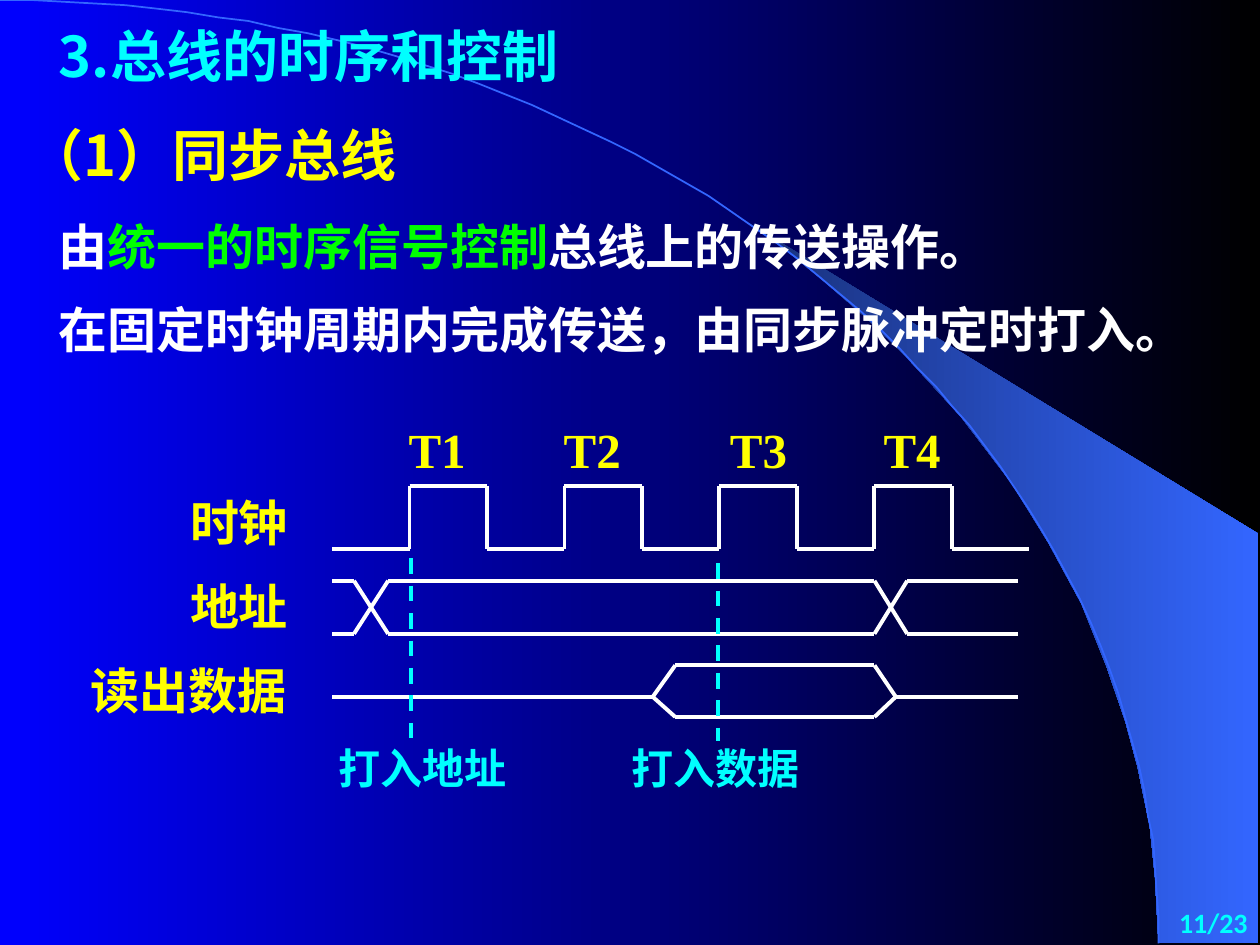
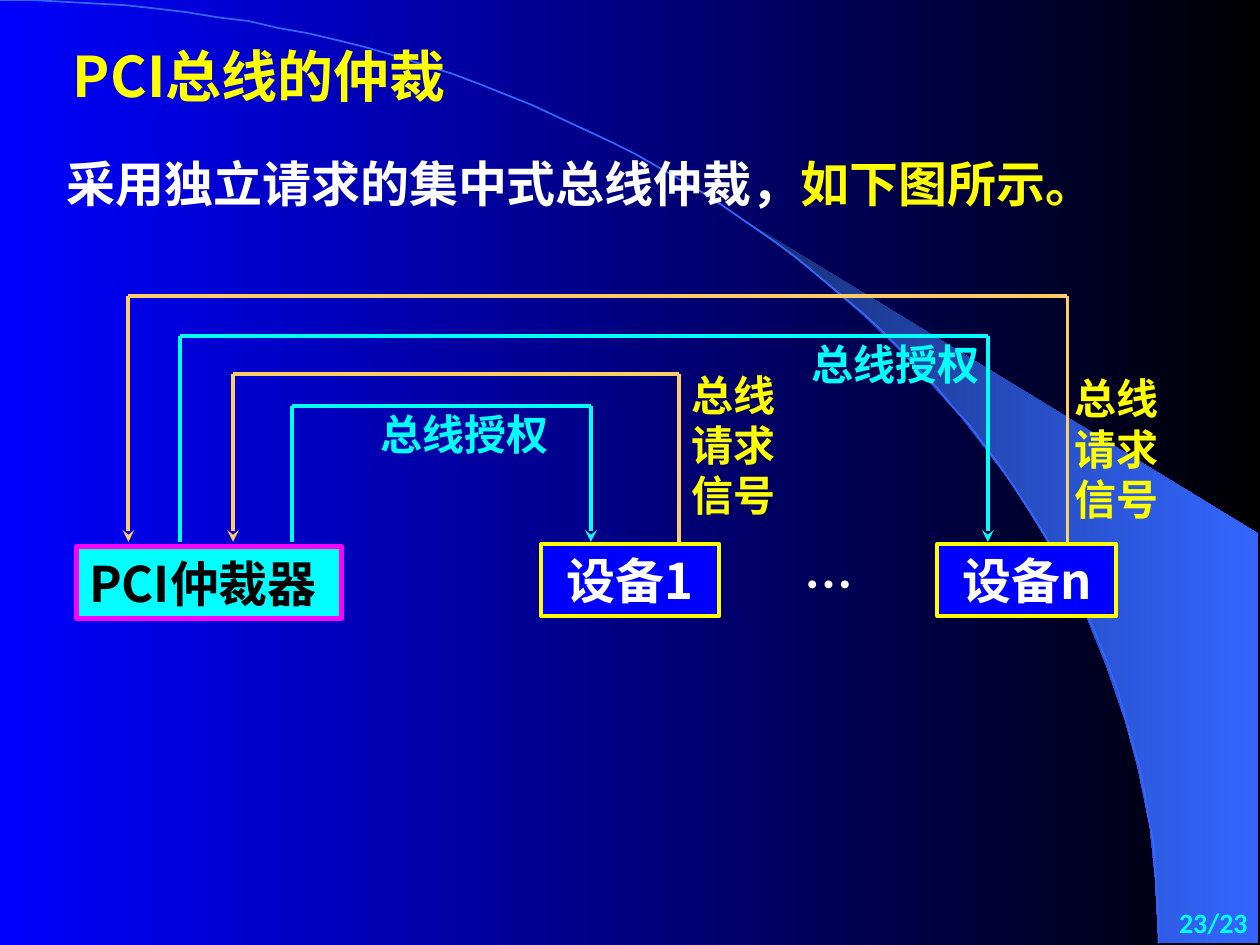
"""Build two slides on bus timing and bus arbitration."""
from dataclasses import dataclass
from itertools import pairwise

import pptx
import pptx.dml.color
import pptx.enum.dml
import pptx.enum.shapes
import pptx.enum.text
import pptx.oxml
import pptx.oxml.ns
import pptx.util
from lxml import etree

Pt = pptx.util.Pt
RGB = pptx.dml.color.RGBColor
ALIGN = pptx.enum.text.PP_ALIGN
ANCHOR = pptx.enum.text.MSO_ANCHOR
Point = tuple[float, float]

BLUE = RGB(0x00, 0x00, 0xFF)
BLACK = RGB(0x00, 0x00, 0x00)
WHITE = RGB(0xFF, 0xFF, 0xFF)
CYAN = RGB(0x00, 0xFF, 0xFF)
YELLOW = RGB(0xFF, 0xFF, 0x00)
GREEN = RGB(0x00, 0xFF, 0x00)
MAGENTA = RGB(0xFF, 0x00, 0xFF)
ORANGE = RGB(0xFF, 0xCC, 0x66)
ARC_BLUE = RGB(0x33, 0x66, 0xFF)
WEDGE_DARK = RGB(0x18, 0x2F, 0x76)

HAN = "Noto Sans CJK SC"
SERIF = "Times New Roman"
SANS = "Calibri"
TITLE, BODY, NOTE, FOOTER = 32, 28, 24, 16
LINE_PITCH = 1.2
STROKE = 2.25

WEDGE = [
    (662.4, 538.6), (719.3, 539.3), (719.3, 304.6), (424.1, 124.6),
    (449.3, 143.3), (470.2, 159.8), (493.2, 180), (515.5, 201.6),
    (548.6, 237.6), (578.2, 276.5), (599, 310.3), (617.8, 344.9),
    (632.2, 380.2), (643, 411.8), (650.2, 438.5), (657.4, 472.3),
    (660.2, 501.1),
]
ARC = [(0, 0), (365.8, 0), (662.4, 241.2), (662.4, 539.3)]
ARC_STEPS = 60


@dataclass(frozen=True)
class Label:
    """A block of text with coloured runs, and an optional box around it."""

    runs: tuple[tuple[str, RGB], ...]
    left: float
    top: float
    width: float
    height: float
    size: int = BODY
    font: str = HAN
    align: ALIGN = ALIGN.LEFT
    anchor: ANCHOR = ANCHOR.TOP
    fill: RGB | None = None
    border: RGB | None = None
    border_width: float = STROKE
    wrap: bool = True


@dataclass(frozen=True)
class Signal:
    """A chain of straight lines through the given points."""

    points: tuple[Point, ...]
    color: RGB = WHITE
    width: float = STROKE
    dashed: bool = False
    arrow: bool = False


def draw_label(slide, label: Label) -> None:
    """Draw a text block, as a rectangle when it has a fill."""
    place = [Pt(v) for v in (label.left, label.top, label.width, label.height)]
    if label.fill is None:
        holder = slide.shapes.add_textbox(*place)
    else:
        holder = slide.shapes.add_shape(
            pptx.enum.shapes.MSO_SHAPE.RECTANGLE, *place)
        holder.shadow.inherit = False
        holder.fill.solid()
        holder.fill.fore_color.rgb = label.fill
        holder.line.color.rgb = label.border
        holder.line.width = Pt(label.border_width)
    frame = holder.text_frame
    frame.word_wrap = label.wrap
    frame.vertical_anchor = label.anchor
    paragraph = frame.paragraphs[0]
    paragraph.alignment = label.align
    paragraph.line_spacing = Pt(label.size * LINE_PITCH)
    for words, color in label.runs:
        run = paragraph.add_run()
        run.text = words
        run.font.name = label.font
        run.font.size = Pt(label.size)
        run.font.bold = True
        run.font.color.rgb = color
        latin = run.font._element.find(pptx.oxml.ns.qn("a:latin"))
        east_asian = etree.Element(pptx.oxml.ns.qn("a:ea"), typeface=HAN)
        latin.addnext(east_asian)


def draw_signal(slide, signal: Signal) -> None:
    """Draw each segment of a signal, with an arrowhead on the last one."""
    for start, end in pairwise(signal.points):
        segment = slide.shapes.add_connector(
            pptx.enum.shapes.MSO_CONNECTOR.STRAIGHT,
            *(Pt(v) for v in start + end))
        segment.line.color.rgb = signal.color
        segment.line.width = Pt(signal.width)
        if signal.dashed:
            segment.line.dash_style = pptx.enum.dml.MSO_LINE.DASH
        if signal.arrow and end == signal.points[-1]:
            etree.SubElement(segment.line._get_or_add_ln(),
                             pptx.oxml.ns.qn("a:tailEnd"), type="stealth")
        properties = segment._element.spPr
        etree.SubElement(properties, pptx.oxml.ns.qn("a:effectLst"))


def shade(fill, start: RGB, end: RGB) -> None:
    """Apply a left-to-right gradient."""
    fill.gradient()
    fill.gradient_angle = 0
    for stop, color in zip(fill.gradient_stops, (start, end)):
        stop.color.rgb = color


def arc_point(t: float) -> Point:
    """Return the point at t on the cubic curve of the backdrop."""
    weights = ((1 - t) ** 3, 3 * t * (1 - t) ** 2, 3 * t * t * (1 - t), t ** 3)
    return (sum(w * x for w, (x, _) in zip(weights, ARC)),
            sum(w * y for w, (_, y) in zip(weights, ARC)))


def draw_outline(slide, points: list[Point], close: bool):
    """Draw a freeform through the points."""
    builder = slide.shapes.build_freeform(*points[0], scale=Pt(1))
    builder.add_line_segments(points[1:], close=close)
    outline = builder.convert_to_shape()
    outline.shadow.inherit = False
    return outline


def add_lesson_slide(deck, page: str):
    """Add a blank slide with the shared backdrop and page number."""
    slide = deck.slides.add_slide(deck.slide_layouts[6])
    shade(slide.background.fill, BLUE, BLACK)
    wedge = draw_outline(slide, WEDGE, True)
    shade(wedge.fill, WEDGE_DARK, ARC_BLUE)
    wedge.line.fill.background()
    curve = [arc_point(i / ARC_STEPS) for i in range(ARC_STEPS + 1)]
    arc = draw_outline(slide, curve, False)
    arc.fill.background()
    arc.line.color.rgb = ARC_BLUE
    arc.line.width = Pt(1)
    draw_label(slide, Label(((page, CYAN),), 570.2, 514.1, 149.8, 25.9, FOOTER,
                            SANS, ALIGN.RIGHT, ANCHOR.MIDDLE))
    return slide


def build_timing(deck) -> None:
    """Build the synchronous bus slide with its timing diagram."""
    slide = add_lesson_slide(deck, "11/23")
    headings = [
        Label((("3.总线的时序和控制", CYAN),), 26.6, 8.6, 406, 46, TITLE),
        Label((("（1）同步总线", YELLOW),), 8.6, 65.5, 342, 46, TITLE),
        Label((("由", WHITE), ("统一的时序信号控制", GREEN),
               ("总线上的传送操作。", WHITE)), 26.6, 120.2, 592.6, 41),
        Label((("在固定时钟周期内完成传送，由同步脉冲定时打入。", WHITE),),
              26.6, 167.8, 671.8, 41),
    ]
    row_names = [
        Label(((name, YELLOW),), left, top, width, 41, font=SERIF)
        for name, left, top, width in (("时钟", 101.5, 277.9, 113.8),
                                       ("地址", 101.5, 326.2, 113.8),
                                       ("读出数据", 44.6, 373.7, 157.7))
    ]
    cycles = [
        Label(((f"T{i}", YELLOW),), left, 236.2, 82.1, 41, font=SERIF,
              align=ALIGN.CENTER)
        for i, left in enumerate((208.8, 297.4, 392.4, 480.2), 1)
    ]
    strobes = [
        Label((("打入地址", CYAN),), 186.5, 420.5, 149.8, 36, NOTE, SERIF),
        Label((("打入数据", CYAN),), 334.1, 420.5, 149.8, 36, NOTE, SERIF,
              ALIGN.CENTER),
    ]
    for label in headings + row_names + cycles + strobes:
        draw_label(slide, label)

    begin, finish = 190, 581.8
    low, high, first_rise, half = 313.9, 277.9, 234, 44.28
    clock = [(begin, low)]
    for i in range(9):
        x = first_rise + i * half
        levels = (low, high) if i % 2 == 0 else (high, low)
        clock += [(x, level) for level in levels]
    clock.pop()

    top, bottom = 331.9, 362.2
    data_top, data_mid, data_bottom = 380.2, 398.2, 409.7
    opening, closing = 373, 511.9
    address = [
        Signal(((begin, a), (202.3, a), (221.8, b), (499.7, b),
                (518.4, a), (finish, a)))
        for a, b in ((top, bottom), (bottom, top))
    ]
    data = [
        Signal(((opening, data_mid), (385.9, y), (499.7, y),
                (closing, data_mid)))
        for y in (data_top, data_bottom)
    ]
    idle = [Signal(((begin, data_mid), (opening, data_mid))),
            Signal(((closing, data_mid), (finish, data_mid)))]
    marks = [Signal(((x, y), (x, 423.4)), CYAN, dashed=True)
             for x, y in ((234.7, 319), (410.4, 321.8))]
    dot = Signal(((215.3, 319.7), (215.3, 319.7)), width=1)
    for signal in [Signal(tuple(clock)), dot] + address + data + idle + marks:
        draw_signal(slide, signal)


def build_arbitration(deck) -> None:
    """Build the arbitration slide with request and grant lines."""
    slide = add_lesson_slide(deck, "23/23")
    box_top = 309.6
    routes = (
        (610, 73.4, 169.2, ORANGE),
        (103, 564.5, 192.2, CYAN),
        (388.1, 133.2, 213.8, ORANGE),
        (167, 337.7, 231.8, CYAN),
    )
    for source, target, rail, color in routes:
        draw_signal(slide, Signal(
            ((source, box_top), (source, rail), (target, rail),
             (target, box_top)), color, arrow=True))
    texts = [
        Label((("PCI总线的仲裁", YELLOW),), 34.6, 20.2, 375.1, 46, TITLE),
        Label((("采用独立请求的集中式总线仲裁，", WHITE),
               ("如下图所示。", YELLOW)), 31, 84.2, 652.3, 41),
        Label((("…", WHITE),), 422.6, 313.2, 102.2, 41, align=ALIGN.CENTER),
        Label((("PCI仲裁器", BLACK),), 43.9, 312.5, 151.2, 41,
              anchor=ANCHOR.MIDDLE, fill=CYAN, border=MAGENTA,
              border_width=3, wrap=False),
    ]
    requests = [
        Label((("总线请求信号", YELLOW),), left, top, width, 93.6, NOTE,
              align=ALIGN.CENTER)
        for left, top, width in ((382.3, 207.4, 73.4), (604.1, 209.5, 67.7))
    ]
    grants = [
        Label((("总线授权", CYAN),), left, top, width, 36, NOTE)
        for left, top, width in ((456.5, 190.1, 124.6), (210.2, 229.7, 144))
    ]
    devices = [
        Label(((name, WHITE),), left, 311, 102.2, 41, align=ALIGN.CENTER,
              fill=BLUE, border=YELLOW)
        for name, left in (("设备1", 308.9), ("设备n", 535.7))
    ]
    for label in texts + requests + grants + devices:
        draw_label(slide, label)


def main() -> None:
    """Build and save the deck."""
    deck = pptx.Presentation()
    deck.slide_width, deck.slide_height = Pt(720), Pt(540)
    build_timing(deck)
    build_arbitration(deck)
    deck.save("out.pptx")


if __name__ == "__main__":
    main()
